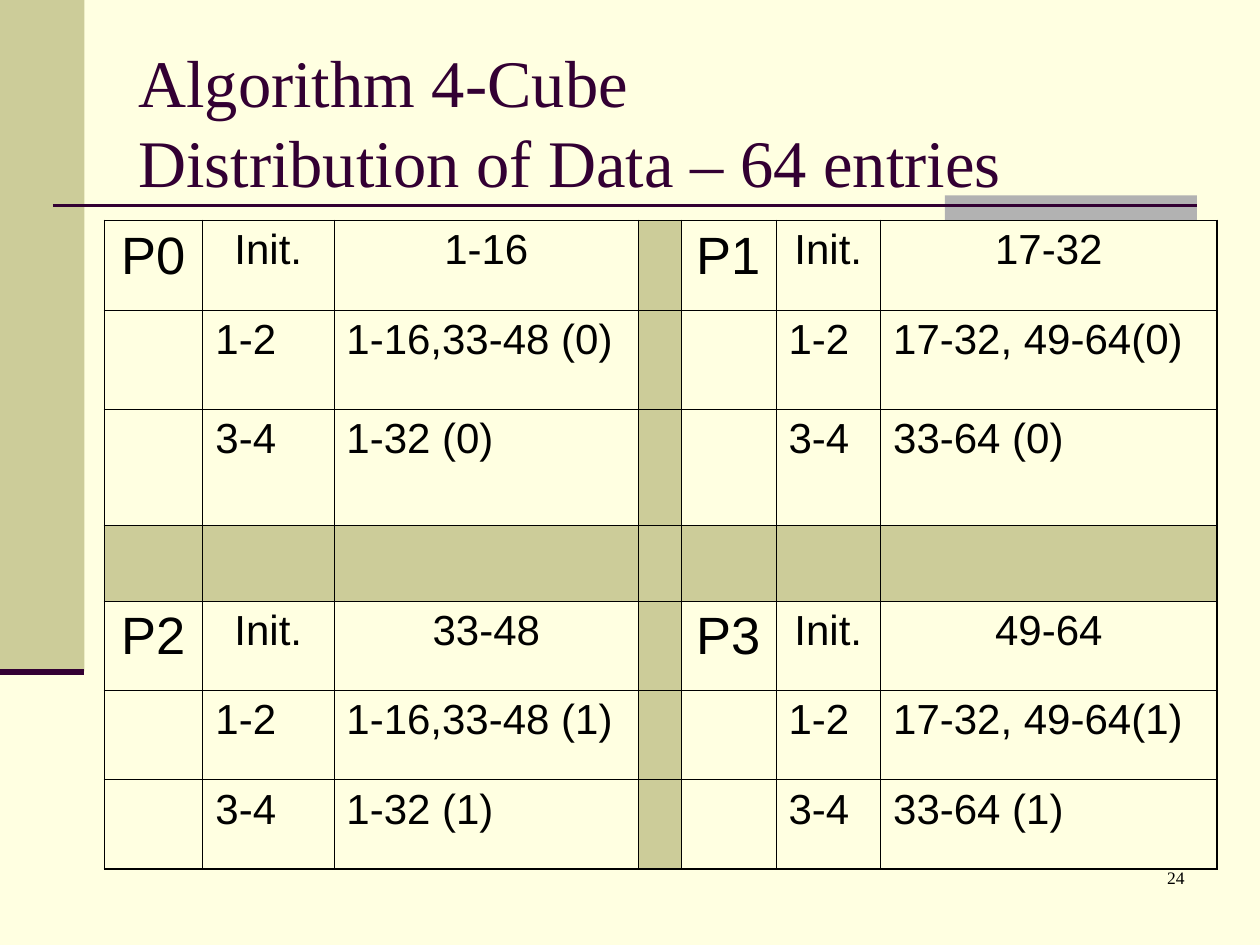
"""Builds the slide on the 4-cube distribution of 64 entries."""
import pptx
import pptx.util
import pptx.dml.color
import pptx.enum.shapes
import pptx.enum.text
import pptx.oxml
import pptx.oxml.ns
import lxml.etree

Inches = pptx.util.Inches
Pt = pptx.util.Pt
RGBColor = pptx.dml.color.RGBColor
Align = pptx.enum.text.PP_ALIGN
qn = pptx.oxml.ns.qn

CREAM = RGBColor(0xFF, 0xFF, 0xE1)
KHAKI = RGBColor(0xCC, 0xCC, 0x99)
GRAY = RGBColor(0xB2, 0xB2, 0xB2)
PLUM = RGBColor(0x33, 0x00, 0x33)
BLACK = RGBColor(0x00, 0x00, 0x00)


def style_text(para, font, size, color, align):
    para.alignment = align
    for span in para.runs:
        span.font.name = font
        span.font.size = Pt(size)
        span.font.color.rgb = color


def set_border(cell, side, width):
    props = cell._tc.get_or_add_tcPr()
    line = lxml.etree.SubElement(props, qn("a:ln" + side), w=str(Pt(width)))
    fill = lxml.etree.SubElement(line, qn("a:solidFill"))
    lxml.etree.SubElement(fill, qn("a:srgbClr"), val=str(BLACK))


deck = pptx.Presentation()
deck.slide_width = Inches(10)
deck.slide_height = Inches(7.5)
page = deck.slides.add_slide(deck.slide_layouts[6])
page.background.fill.solid()
page.background.fill.fore_color.rgb = CREAM

for left, top, width, height, color in [(0, 0, 0.67, 5.33, KHAKI), (7.5, 1.55, 2, 0.2, GRAY)]:
    block = page.shapes.add_shape(
        pptx.enum.shapes.MSO_SHAPE.RECTANGLE,
        Inches(left), Inches(top), Inches(width), Inches(height))
    block.shadow.inherit = False
    block.fill.solid()
    block.fill.fore_color.rgb = color
    block.line.fill.background()

for start, end, height, weight in [(0.42, 9.5, 1.63, 1.5), (0, 0.67, 5.33, 3.5)]:
    rule = page.shapes.add_connector(
        pptx.enum.shapes.MSO_CONNECTOR.STRAIGHT,
        Inches(start), Inches(height), Inches(end), Inches(height))
    rule.line.color.rgb = PLUM
    rule.line.width = Pt(weight)
    lxml.etree.SubElement(rule._element.spPr, qn("a:effectLst"))

title = page.shapes.add_textbox(Inches(1), Inches(0.33), Inches(8.5), Inches(1.25))
title.text_frame.word_wrap = True
title.text_frame.vertical_anchor = pptx.enum.text.MSO_ANCHOR.MIDDLE
para = title.text_frame.paragraphs[0]
para.text = "Algorithm 4-Cube \vDistribution of Data – 64 entries"
para.line_spacing = Pt(46)
style_text(para, "Times New Roman", 38, PLUM, Align.LEFT)

rows = [
    ["P0", "Init.", "1-16", "", "P1", "Init.", "17-32"],
    ["", "1-2", "1-16,33-48 (0)", "", "", "1-2", "17-32, 49-64(0)"],
    ["", "3-4", "1-32 (0)", "", "", "3-4", "33-64 (0)"],
    [""] * 7,
    ["P2", "Init.", "33-48", "", "P3", "Init.", "49-64"],
    ["", "1-2", "1-16,33-48 (1)", "", "", "1-2", "17-32, 49-64(1)"],
    ["", "3-4", "1-32 (1)", "", "", "3-4", "33-64 (1)"],
]
column_widths = [0.78, 1.04, 2.42, 0.34, 0.75, 0.83, 2.67]
row_heights = [0.71, 0.79, 0.92, 0.6, 0.71, 0.71, 0.71]
last = len(rows) - 1
gap = 3

table = page.shapes.add_table(
    len(rows), len(column_widths), Inches(0.83), Inches(1.75),
    Inches(sum(column_widths)), Inches(sum(row_heights))).table
table.first_row = False
table.horz_banding = False
for column, width in zip(table.columns, column_widths):
    column.width = Inches(width)
for row, height in zip(table.rows, row_heights):
    row.height = Inches(height)

for r, texts in enumerate(rows):
    for c, text in enumerate(texts):
        cell = table.cell(r, c)
        for side, outer in [("L", c == 0), ("R", c == last), ("T", r == 0), ("B", r == last)]:
            set_border(cell, side, 1.08 if outer else 0.45)
        if gap in (r, c):
            cell.fill.solid()
            cell.fill.fore_color.rgb = KHAKI
        else:
            cell.fill.background()
        if text:
            size = 30 if text.startswith("P") else 24
            para = cell.text_frame.paragraphs[0]
            para.text = text
            para.space_before = Pt(size / 4)
            style_text(para, "Arial", size, BLACK, Align.CENTER if r in (0, gap + 1) else Align.LEFT)

number = page.shapes.add_textbox(Inches(7.42), Inches(6.83), Inches(2.08), Inches(0.5))
number.text_frame.word_wrap = True
number.text_frame.text = "24"
style_text(number.text_frame.paragraphs[0], "Times New Roman", 10, BLACK, Align.RIGHT)

deck.save("out.pptx")
